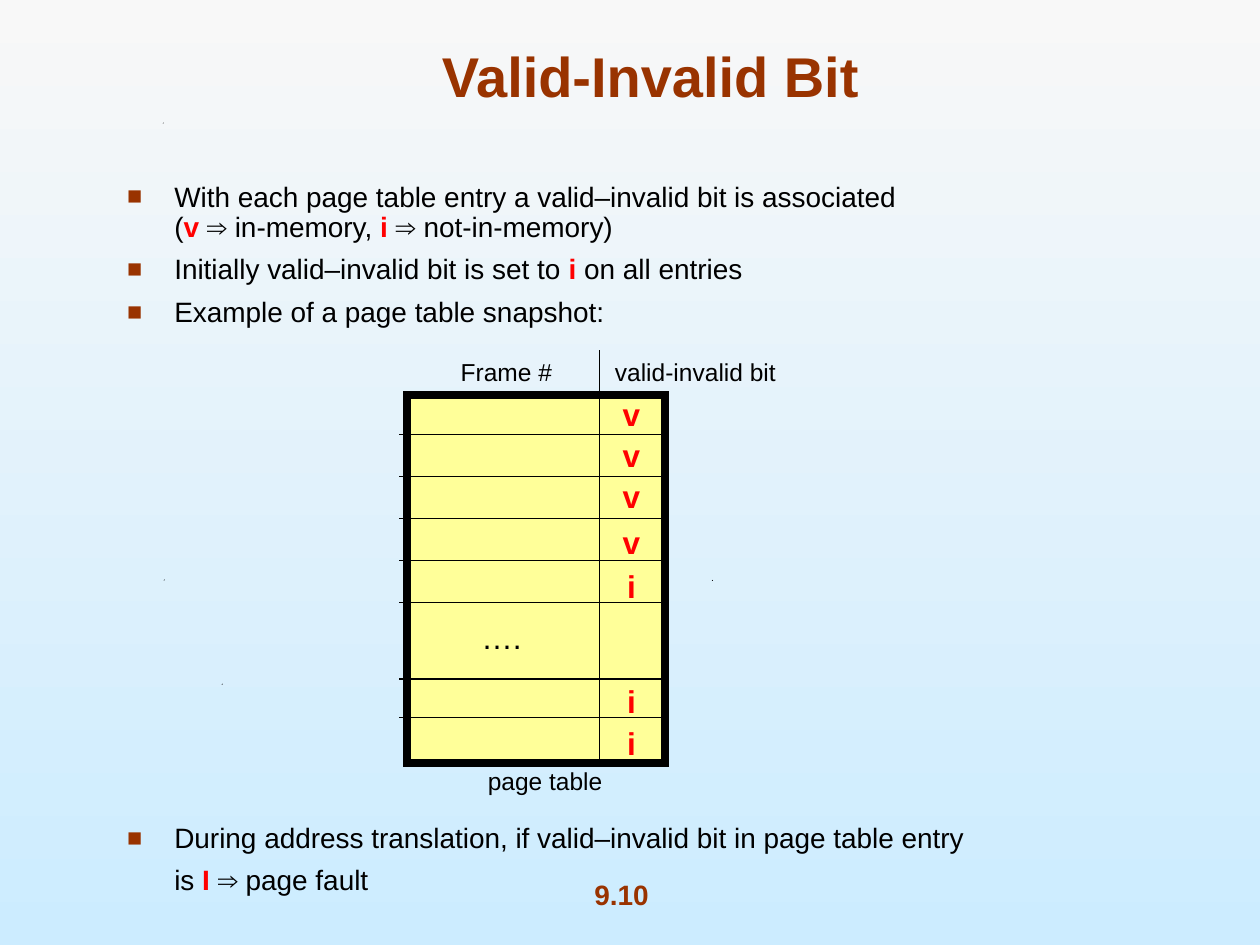
from dataclasses import dataclass

from lxml.etree import SubElement
from pptx import Presentation
from pptx.dml.color import RGBColor
from pptx.enum.shapes import MSO_CONNECTOR, MSO_SHAPE
from pptx.enum.text import MSO_ANCHOR, MSO_AUTO_SIZE, PP_ALIGN
from pptx.oxml.ns import qn
from pptx.util import Cm, Pt


@dataclass(frozen=True)
class Theme:
    font: str = "Arial"
    ink: str = "000000"
    accent: str = "993300"
    mark: str = "FF0000"
    table: str = "FFFF99"
    sky_top: str = "F8F8F8"
    sky_bottom: str = "CCECFF"
    title: int = 32
    body: int = 16
    bit: int = 18
    label: int = 14


THEME = Theme()

TITLE = "Valid-Invalid Bit"
PAGE_NUMBER = "9.10"
BREAK = "\n"

# Runs are (text, is_marked); each point is (runs, has_bullet, space before in points)
POINTS = [
    ([("With each page table entry a valid–invalid bit is associated", False), (BREAK, False),
      ("(", False), ("v ", True), ("⇒ in-memory, ", False),
      ("i ", True), ("⇒ not-in-memory)", False)], True, 0),
    ([("Initially valid–invalid bit is set to", False), (" i ", True),
      ("on all entries", False)], True, 7),
    ([("Example of a page table snapshot:", False)], True, 7),
    ([("During address translation, if valid–invalid bit in page table entry", False)], True, 283.5),
    ([("is", False), (" I ", True), ("⇒ page fault", False)], False, 7),
]

# All places below are in centimetres
TABLE_BOX = (8.2, 7.96, 5.21, 7.42)
RULE_LEFT, RULE_RIGHT = 8.05, 13.36
FIRST_RULE, ROW_HEIGHT = 8.76, 0.845
RULES = [FIRST_RULE + row * ROW_HEIGHT for row in range(5)] + [13.69, 14.47]
DIVIDER_X, DIVIDER_TOP, DIVIDER_BOTTOM = 12.09, 7.06, 15.32

BIT_X = 12.73
BITS = [("v", 8.34), ("v", 9.17), ("v", 10.0), ("v", 10.92),
        ("i", 11.81), ("i", 14.13), ("i", 14.98)]
BIT_WIDTHS = {"v": 0.86, "i": 0.69}
BIT_HEIGHT = 1.02

# Text, centre x, centre y, width
LABELS = [("Frame #", 10.21, 7.49, 2.6),
          ("valid-invalid bit", 14.02, 7.49, 3.9),
          ("page table", 10.99, 15.74, 3)]
LABEL_HEIGHT = 0.86

SPECKS = [(4.47, 13.78), (3.3, 11.68), (14.35, 11.69), (3.28, 2.47)]
SPECK_SIZE = 0.02


def rgb(color):
    return RGBColor.from_string(color)


def add_run(paragraph, text, size, color, bold=False):
    run = paragraph.add_run()
    run.text = text
    run.font.name = THEME.font
    run.font.size = Pt(size)
    run.font.bold = bold
    run.font.color.rgb = rgb(color)


def add_bullet(paragraph):
    properties = paragraph._p.get_or_add_pPr()
    color = SubElement(properties, qn("a:buClr"))
    SubElement(color, qn("a:srgbClr"), val=THEME.accent)
    SubElement(properties, qn("a:buSzPct"), val="90000")
    SubElement(properties, qn("a:buFont"), typeface=THEME.font)
    SubElement(properties, qn("a:buChar"), char="■")


def place(shape, left, top, width, height):
    shape.left, shape.top = Cm(left), Cm(top)
    shape.width, shape.height = Cm(width), Cm(height)


def add_caption(slide, text, center, extent, size, color, bold=False):
    """Add one unwrapped line of text, centred on a point."""
    (x, y), (width, height) = center, extent
    box = slide.shapes.add_textbox(Cm(x - width / 2), Cm(y - height / 2), Cm(width), Cm(height))
    frame = box.text_frame
    frame.word_wrap = False
    frame.auto_size = MSO_AUTO_SIZE.SHAPE_TO_FIT_TEXT
    frame.vertical_anchor = MSO_ANCHOR.MIDDLE
    paragraph = frame.paragraphs[0]
    paragraph.alignment = PP_ALIGN.CENTER
    add_run(paragraph, text, size, color, bold)


def add_rule(slide, x1, y1, x2, y2):
    rule = slide.shapes.add_connector(MSO_CONNECTOR.STRAIGHT, Cm(x1), Cm(y1), Cm(x2), Cm(y2))
    rule.line.color.rgb = rgb(THEME.ink)
    rule.line.width = Pt(0.75)
    SubElement(rule._element.spPr, qn("a:effectLst"))


def paint_background(slide):
    fill = slide.background.fill
    fill.gradient()
    fill.gradient_angle = 270
    for stop, color in zip(fill.gradient_stops, (THEME.sky_top, THEME.sky_bottom)):
        stop.color.rgb = rgb(color)


def add_specks(slide):
    for x, y in SPECKS:
        builder = slide.shapes.build_freeform(Cm(x), Cm(y + SPECK_SIZE))
        builder.add_line_segments([(Cm(x + SPECK_SIZE), Cm(y)),
                                   (Cm(x + SPECK_SIZE), Cm(y + SPECK_SIZE))])
        speck = builder.convert_to_shape()
        speck.shadow.inherit = False
        speck.fill.solid()
        speck.fill.fore_color.rgb = rgb(THEME.ink)
        speck.line.fill.background()


def fill_title(title):
    place(title, 1.9, 0.62, 22.43, 1.7)
    frame = title.text_frame
    frame.auto_size = MSO_AUTO_SIZE.NONE
    frame.vertical_anchor = MSO_ANCHOR.BOTTOM
    paragraph = frame.paragraphs[0]
    paragraph.alignment = PP_ALIGN.CENTER
    add_run(paragraph, TITLE, THEME.title, THEME.accent, bold=True)


def fill_body(body):
    place(body, 2.31, 3.56, 20.12, 15.88)
    frame = body.text_frame
    frame.auto_size = MSO_AUTO_SIZE.NONE
    for index, (runs, has_bullet, space) in enumerate(POINTS):
        paragraph = frame.add_paragraph() if index else frame.paragraphs[0]
        paragraph.line_spacing = 0.9
        paragraph.space_before = Pt(space)
        properties = paragraph._p.get_or_add_pPr()
        properties.set("marL", str(Cm(0.95)))
        properties.set("indent", str(Cm(-0.95) if has_bullet else 0))
        if has_bullet:
            add_bullet(paragraph)
        else:
            SubElement(properties, qn("a:buNone"))
        for text, marked in runs:
            if text == BREAK:
                paragraph.add_line_break()
            else:
                add_run(paragraph, text, THEME.body, THEME.mark if marked else THEME.ink, marked)


def draw_page_table(slide):
    table = slide.shapes.add_shape(MSO_SHAPE.RECTANGLE, *map(Cm, TABLE_BOX))
    table.shadow.inherit = False
    table.fill.solid()
    table.fill.fore_color.rgb = rgb(THEME.table)
    table.line.color.rgb = rgb(THEME.ink)
    table.line.width = Pt(4.5)
    SubElement(table.line._get_or_add_ln(), qn("a:miter"), lim="800000")
    for y in RULES:
        add_rule(slide, RULE_LEFT, y, RULE_RIGHT, y)
    add_rule(slide, DIVIDER_X, DIVIDER_TOP, DIVIDER_X, DIVIDER_BOTTOM)
    for bit, y in BITS:
        add_caption(slide, bit, (BIT_X, y), (BIT_WIDTHS[bit], BIT_HEIGHT),
                    THEME.bit, THEME.mark, bold=True)
    add_caption(slide, "….", (10.11, 12.85), (1.32, BIT_HEIGHT), THEME.bit, THEME.ink)
    for text, x, y, width in LABELS:
        add_caption(slide, text, (x, y), (width, LABEL_HEIGHT), THEME.label, THEME.ink)


def main():
    deck = Presentation()
    deck.slide_width, deck.slide_height = Cm(25.4), Cm(19.05)
    slide = deck.slides.add_slide(deck.slide_layouts[1])
    paint_background(slide)
    fill_title(slide.shapes.title)
    fill_body(slide.placeholders[1])
    add_specks(slide)
    draw_page_table(slide)
    add_caption(slide, PAGE_NUMBER, (12.53, 18.02), (3.68, 0.94),
                THEME.body, THEME.accent, bold=True)
    deck.save("out.pptx")


if __name__ == "__main__":
    main()
